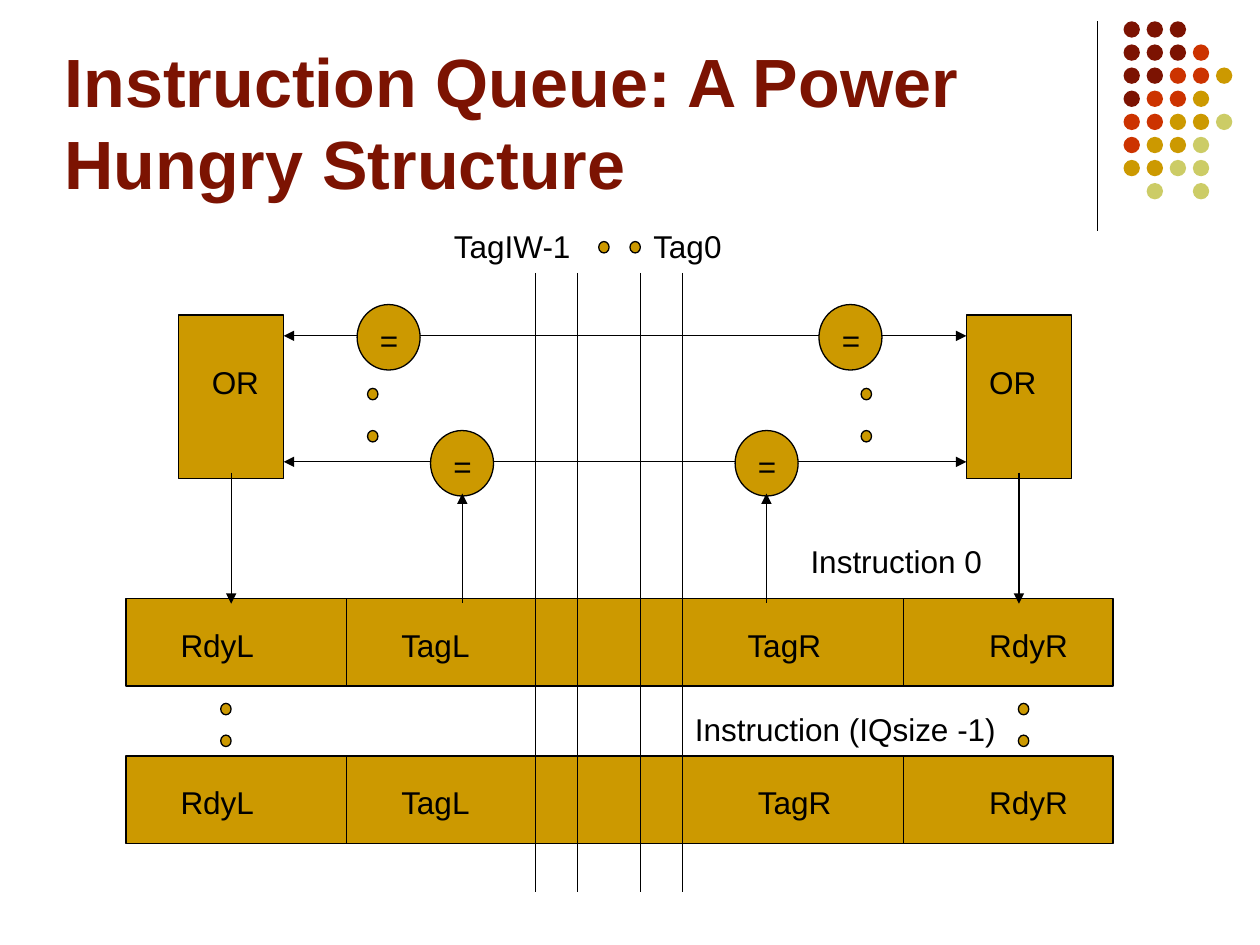
from dataclasses import dataclass

from lxml import etree
from pptx import Presentation
from pptx import util as u
from pptx.dml.color import RGBColor
from pptx.enum import shapes, text
from pptx.oxml import ns


@dataclass(frozen=True)
class Theme:
    font: str = "Arial"
    maroon: str = "7C1302"
    red: str = "CC3300"
    gold: str = "CC9900"
    olive: str = "CCCC66"
    ink: str = "000000"
    title_size: int = 39
    label_size: int = 18
    line_width: float = 0.75


THEME = Theme()
RECT = shapes.MSO_SHAPE.RECTANGLE
OVAL = shapes.MSO_SHAPE.OVAL


def rgb(code):
    return RGBColor.from_string(code)


def add_block(slide, kind, left, top, width, height, fill=THEME.gold, outlined=True):
    block = slide.shapes.add_shape(kind, u.Cm(left), u.Cm(top), u.Cm(width), u.Cm(height))
    block.shadow.inherit = False
    block.fill.solid()
    block.fill.fore_color.rgb = rgb(fill)
    if outlined:
        block.line.color.rgb = rgb(THEME.ink)
        block.line.width = u.Pt(THEME.line_width)
    else:
        block.line.fill.background()


def add_line(slide, x1, y1, x2, y2, arrow=False):
    line = slide.shapes.add_connector(
        shapes.MSO_CONNECTOR.STRAIGHT, u.Cm(x1), u.Cm(y1), u.Cm(x2), u.Cm(y2))
    line.line.color.rgb = rgb(THEME.ink)
    line.line.width = u.Pt(THEME.line_width)
    if arrow:
        etree.SubElement(line.line._get_or_add_ln(), ns.qn("a:tailEnd"), type="triangle")
    etree.SubElement(line._element.spPr, ns.qn("a:effectLst"))


def style_runs(paragraph, size, color, bold=False):
    for run in paragraph.runs:
        run.font.name = THEME.font
        run.font.size = u.Pt(size)
        run.font.bold = bold
        run.font.color.rgb = rgb(color)


def add_label(slide, wording, left, top, width):
    frame = slide.shapes.add_textbox(
        u.Cm(left), u.Cm(top), u.Cm(width), u.Cm(1.02)).text_frame
    frame.word_wrap = False
    frame.auto_size = text.MSO_AUTO_SIZE.SHAPE_TO_FIT_TEXT
    frame.text = wording
    style_runs(frame.paragraphs[0], THEME.label_size, THEME.ink)


def add_ellipsis_dot(slide, left, top):
    add_block(slide, OVAL, left, top, 0.21, 0.23)


def set_title(slide, wording):
    title = slide.shapes.title
    title.left, title.top = u.Cm(1.05), u.Cm(0.62)
    title.width, title.height = u.Cm(20.96), u.Cm(3.6)
    frame = title.text_frame
    frame.text = wording
    frame.word_wrap = True
    frame.auto_size = text.MSO_AUTO_SIZE.NONE
    frame.vertical_anchor = text.MSO_ANCHOR.BOTTOM
    paragraph = frame.paragraphs[0]
    paragraph.alignment = text.PP_ALIGN.LEFT
    paragraph.line_spacing = 1.0
    style_runs(paragraph, THEME.title_size, THEME.maroon, bold=True)


def add_corner_ornament(slide):
    """Vertical rule and the dot pattern beside it."""
    add_line(slide, 22.12, 0.43, 22.12, 4.65)
    colors = {"m": THEME.maroon, "r": THEME.red, "g": THEME.gold, "o": THEME.olive}
    pattern = ["mmm", "mmmr", "mmrrg", "mrrg", "rrggo", "rggo", "ggoo", " o o"]
    pitch = 3.26 / (len(pattern) - 1)
    for row, codes in enumerate(pattern):
        for column, code in enumerate(codes):
            if code in colors:
                add_block(slide, OVAL, 22.65 + column * pitch, 0.43 + row * pitch,
                          0.33, 0.33, colors[code], outlined=False)


def add_queue_entry(slide, top, tag_right):
    """One row of the instruction queue, with its field dividers and names."""
    height = 1.76
    add_block(slide, RECT, 2.54, top, 19.9, height)
    for x in (6.99, 10.8, 13.76, 18.21):
        add_line(slide, x, top, x, top + height)
    for field, left, width in (("RdyL", 3.39, 2.02), ("TagL", 7.84, 1.96),
                               ("TagR", tag_right, 2.06), ("RdyR", 19.69, 2.12)):
        add_label(slide, field, left, top + 0.43, width)


def add_comparator_level(slide, wire_y, left_comparator, right_comparator):
    """Two comparators joined by a wire, each feeding the OR gate on its side."""
    diameter = 1.27
    for left in (left_comparator, right_comparator):
        add_block(slide, OVAL, left, wire_y - 0.63, diameter, 1.32)
        add_label(slide, "=", left + 0.21, wire_y - 0.42, 0.86)
    add_line(slide, left_comparator, wire_y, 5.72, wire_y, arrow=True)
    add_line(slide, left_comparator + diameter, wire_y, right_comparator, wire_y)
    add_line(slide, right_comparator + diameter, wire_y, 19.48, wire_y, arrow=True)


def main():
    deck = Presentation()
    deck.slide_width, deck.slide_height = u.Cm(25.4), u.Cm(19.05)
    slide = deck.slides.add_slide(deck.slide_layouts[5])

    add_corner_ornament(slide)
    set_title(slide, "Instruction Queue: A Power Hungry Structure")

    # OR gates
    for gate_left, label_left in ((3.6, 4.02), (19.48, 19.69)):
        add_block(slide, RECT, gate_left, 6.35, 2.12, 3.3)
        add_label(slide, "OR", label_left, 7.2, 1.5)

    # Comparators
    add_comparator_level(slide, 6.77, 7.2, 16.51)
    add_comparator_level(slide, 9.31, 8.68, 14.82)

    # Queue entries
    add_queue_entry(slide, 12.07, tag_right=14.82)
    add_queue_entry(slide, 15.24, tag_right=15.03)
    add_label(slide, "Instruction 0", 16.09, 10.8, 3.96)
    add_label(slide, "Instruction (IQsize -1)", 13.76, 14.18, 6.58)

    # Tags up to the comparators, ready bits down from the gates
    for x in (9.32, 15.45):
        add_line(slide, x, 12.15, x, 9.95, arrow=True)
    for x in (4.66, 20.54):
        add_line(slide, x, 9.53, x, 12.17, arrow=True)

    # Tag buses
    for x in (10.8, 11.64, 12.91, 13.76):
        add_line(slide, x, 5.5, x, 17.99)
    add_label(slide, "TagIW-1", 8.9, 4.45, 2.95)
    add_label(slide, "Tag0", 12.92, 4.45, 1.96)

    # Ellipsis dots: between buses, comparators and queue entries
    for x in (12.07, 12.7):
        add_ellipsis_dot(slide, x, 4.87)
    for columns, rows in (((7.41, 17.36), (7.83, 8.68)),
                          ((4.45, 20.53), (14.18, 14.82))):
        for x in columns:
            for y in rows:
                add_ellipsis_dot(slide, x, y)

    deck.save("out.pptx")


if __name__ == "__main__":
    main()
